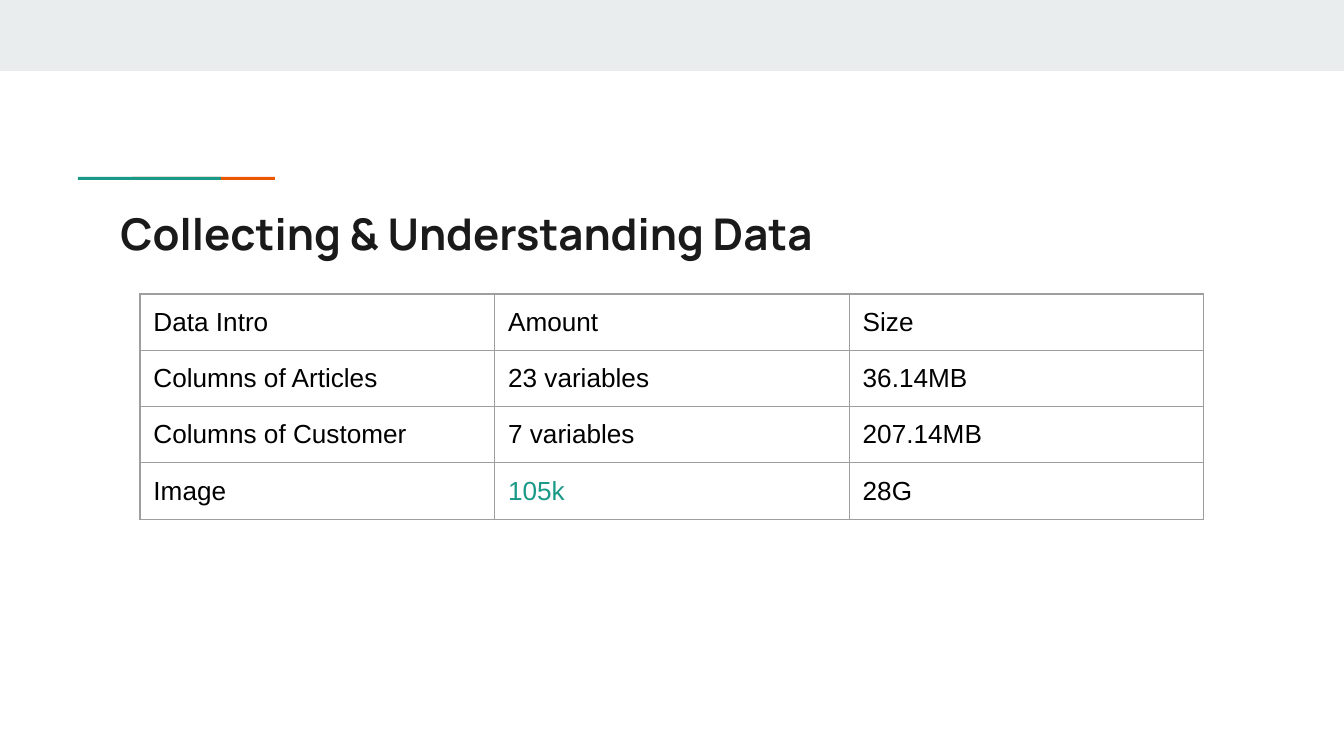
from lxml import etree
from pptx import Presentation
from pptx.dml.color import RGBColor
from pptx.enum.shapes import MSO_SHAPE
from pptx.enum.text import MSO_ANCHOR, MSO_AUTO_SIZE, PP_ALIGN
from pptx.oxml.ns import qn
from pptx.util import Pt

RECT = MSO_SHAPE.RECTANGLE
MIDDLE = MSO_ANCHOR.MIDDLE
NO_FIT = MSO_AUTO_SIZE.NONE
LEFT = PP_ALIGN.LEFT

EMU_PER_PX = 914400 / 134.4
TITLE_ONLY = 5
TEAL = "1A9988"
ORANGE = "EB5600"
ROWS = [
    ["Data Intro", "Amount", "Size"],
    ["Columns of Articles", "23 variables", "36.14MB"],
    ["Columns of Customer", "7 variables", "207.14MB"],
    ["Image", "105k", "28G"],
]
HIGHLIGHTS = {"105k": TEAL}


def px(n):
    return round(n * EMU_PER_PX)


def rgb(color):
    return RGBColor.from_string(color)


class SlideBuilder:
    inset = Pt(7.2)
    border = "9E9E9E"
    border_pt = 0.75

    def __init__(self, s):
        self.s = s

    def set_insets(self, target):
        target.margin_left = target.margin_right = self.inset
        target.margin_top = target.margin_bottom = self.inset

    def style(self, p, font, size, color, bold=False):
        p.alignment = LEFT
        p.font.name = font
        p.font.size = Pt(size)
        p.font.bold = bold
        p.font.color.rgb = rgb(color)

    def bar(self, x, y, w, h, color):
        sp = self.s.shapes.add_shape(RECT, px(x), px(y), px(w), px(h))
        sp.shadow.inherit = False
        sp.fill.solid()
        sp.fill.fore_color.rgb = rgb(color)
        sp.line.fill.background()

    def title(self, text, x, y, w, h):
        sp = self.s.shapes.title
        sp.left, sp.top, sp.width, sp.height = px(x), px(y), px(w), px(h)
        tf = sp.text_frame
        tf.text = text
        tf.word_wrap = True
        tf.auto_size = NO_FIT
        tf.vertical_anchor = MIDDLE
        self.set_insets(tf)
        self.style(tf.paragraphs[0], "Manrope", 23.4, "1A1A1A", bold=True)

    def cell_borders(self, cell):
        """Outline all four sides; the lines must come before the cell fill."""
        tc_pr = cell._tc.get_or_add_tcPr()
        for i, side in enumerate(("a:lnL", "a:lnR", "a:lnT", "a:lnB")):
            ln = etree.Element(qn(side), w=str(Pt(self.border_pt)))
            fill = etree.SubElement(ln, qn("a:solidFill"))
            etree.SubElement(fill, qn("a:srgbClr"), val=self.border)
            tc_pr.insert(i, ln)

    def table(self, rows, x, y, w, row_h, highlights):
        frame = self.s.shapes.add_table(len(rows), len(rows[0]), px(x), px(y),
                                        px(w), px(row_h * len(rows)))
        table = frame.table
        table.first_row = table.horz_banding = False
        for row, texts in zip(table.rows, rows):
            row.height = px(row_h)
            for cell, text in zip(row.cells, texts):
                cell.text = text
                cell.fill.background()
                self.set_insets(cell)
                self.cell_borders(cell)
                self.style(cell.text_frame.paragraphs[0], "Arial", 14,
                           highlights.get(text, "000000"))


def main():
    prs = Presentation()
    prs.slide_width, prs.slide_height = px(1344), px(756)
    s = prs.slides.add_slide(prs.slide_layouts[TITLE_ONLY])
    builder = SlideBuilder(s)
    builder.bar(0, 0, 1344, 71, "E9EDEE")
    # The teal bar overlaps the left part of the orange one.
    for x, color in ((132, ORANGE), (78, TEAL)):
        builder.bar(x, 177, 143, 3, color)
    builder.title("Collecting & Understanding Data", 107, 194, 1130, 79)
    builder.table(ROWS, 140, 294, 1064, 56, HIGHLIGHTS)
    prs.save("out.pptx")


if __name__ == "__main__":
    main()
